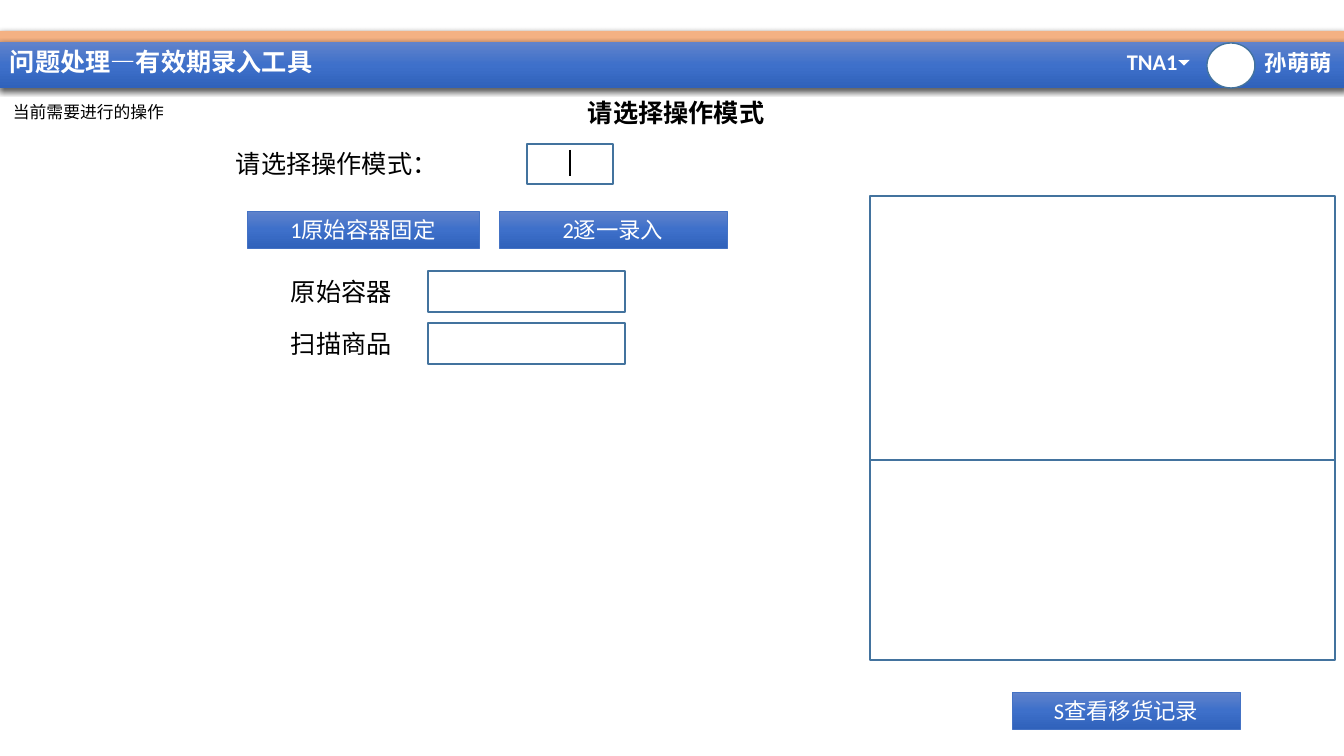
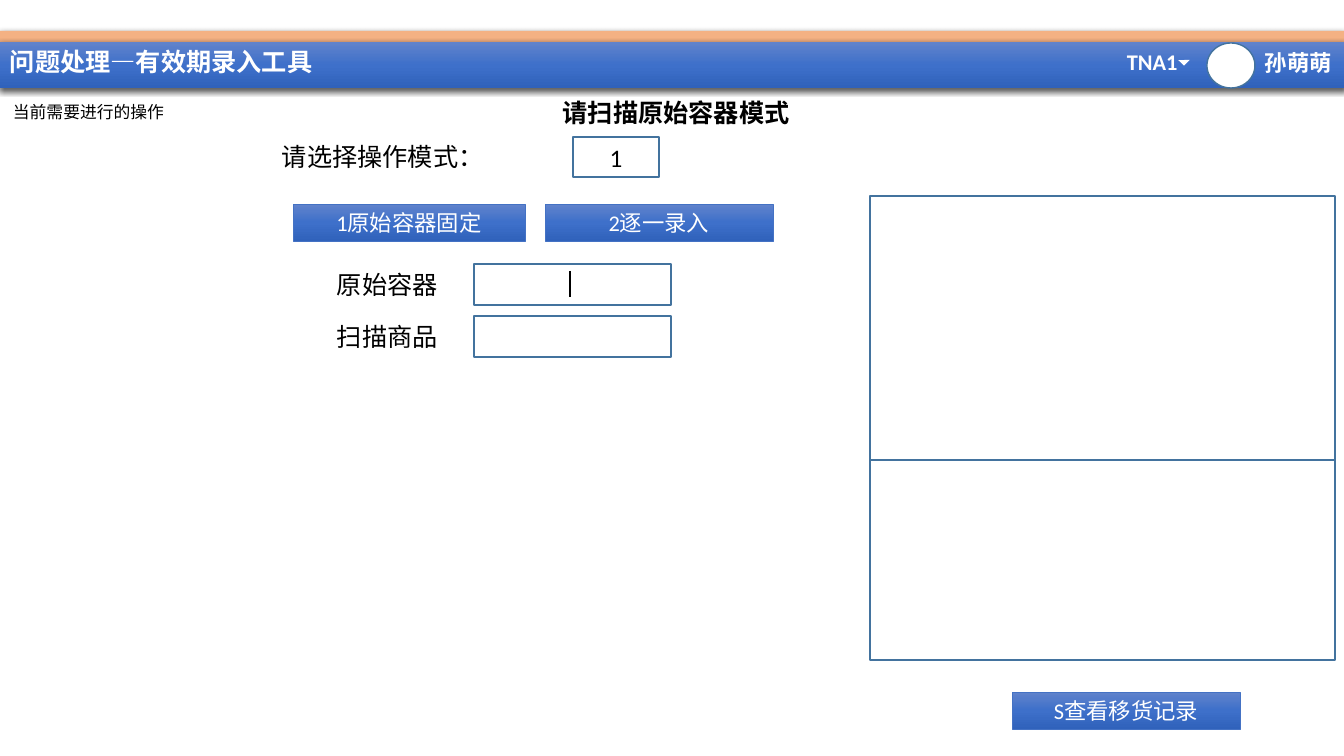
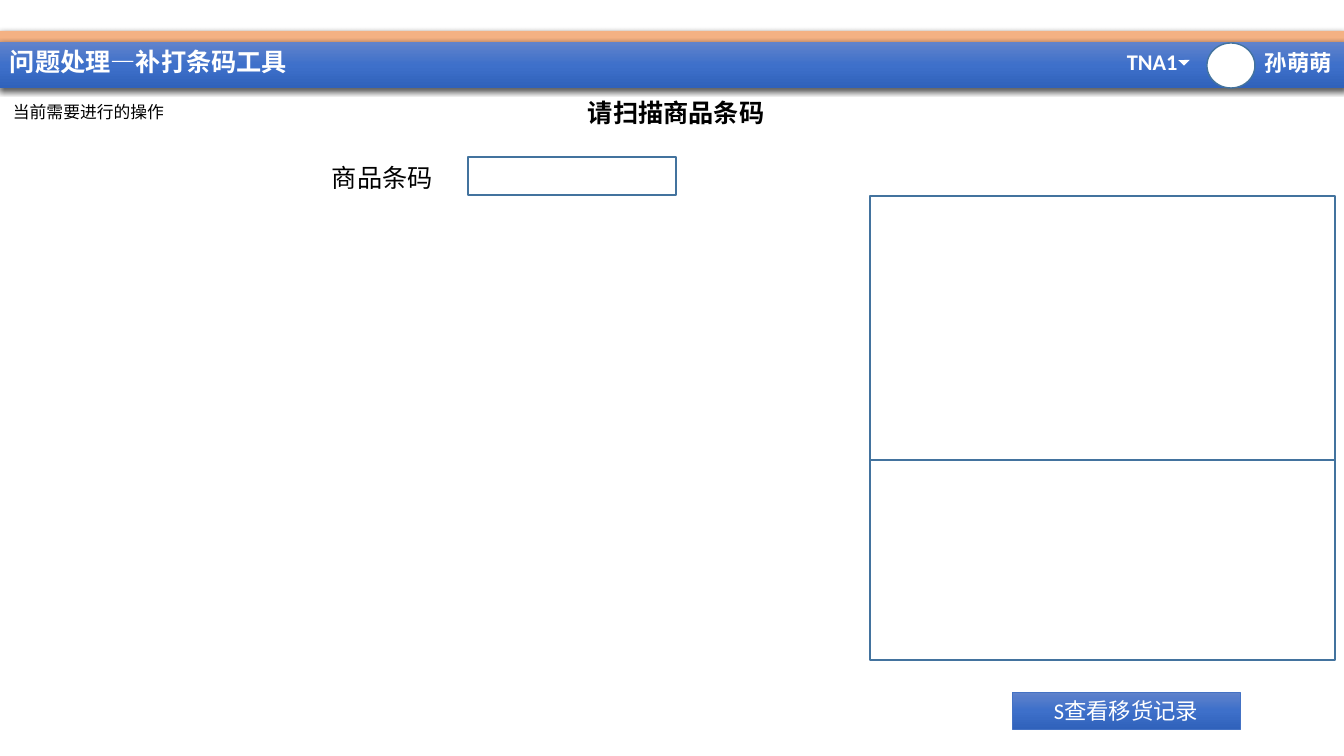
from copy import deepcopy

from pptx import Presentation
from pptx import util as u
from pptx.dml.color import RGBColor
from pptx.enum import shapes, text
from pptx.oxml import parse_xml
from pptx.oxml.ns import nsdecls, qn

PX = 914400 / 100.8
WIDTH, HEIGHT = 1344, 756

WHITE = RGBColor(0xFF, 0xFF, 0xFF)
BLACK = RGBColor(0, 0, 0)
ORANGE = RGBColor(0xF4, 0xB1, 0x83)
OUTLINE = RGBColor(0x43, 0x73, 0x9E)
BUTTON_EDGE = RGBColor(0x44, 0x72, 0xC4)
BLUE_GRADIENT = [RGBColor(0x61, 0x83, 0xCB), RGBColor(0x3E, 0x70, 0xCA), RGBColor(0x30, 0x62, 0xBB)]

RECT = shapes.MSO_SHAPE.RECTANGLE
SHADOW = (
    f'<a:outerShdw {nsdecls("a")} blurRad="57150" dist="19050" dir="5400000" algn="ctr" rotWithShape="0">'
    '<a:srgbClr val="000000"><a:alpha val="63000"/></a:srgbClr></a:outerShdw>'
)


def box(slide, place, kind=RECT, fill=None, line=None, weight=1, shadow=False):
    """Draw a preset shape; a list as fill gives a vertical gradient."""
    shape = slide.shapes.add_shape(kind, *[round(n * PX) for n in place])
    if isinstance(fill, list):
        shape.fill.gradient()
        shape.fill.gradient_angle = 270
        stops = shape.element.find(".//" + qn("a:gsLst"))
        stops.insert(1, deepcopy(stops[0]))
        for i, (stop, color) in enumerate(zip(shape.fill.gradient_stops, fill)):
            stop.position = i / (len(fill) - 1)
            stop.color.rgb = color
    elif fill is not None:
        shape.fill.solid()
        shape.fill.fore_color.rgb = fill
    else:
        shape.fill.background()
    if line is not None:
        shape.line.color.rgb = line
        shape.line.width = u.Pt(weight)
    else:
        shape.line.fill.background()
    shape.shadow.inherit = False
    if shadow:
        shape.element.spPr.find(qn("a:effectLst")).append(parse_xml(SHADOW))
    return shape


def write(slide, words, place=None, area=None, size=18, color=BLACK, bold=False,
          align=text.PP_ALIGN.LEFT, anchor=text.MSO_ANCHOR.TOP, wrap=False):
    """Put text in the given shape, or in a new text box at the given place."""
    area = area or slide.shapes.add_textbox(*[round(n * PX) for n in place])
    frame = area.text_frame
    frame.word_wrap = wrap
    frame.auto_size = text.MSO_AUTO_SIZE.NONE if wrap else text.MSO_AUTO_SIZE.SHAPE_TO_FIT_TEXT
    frame.vertical_anchor = anchor
    paragraph = frame.paragraphs[0]
    paragraph.alignment = align
    run = paragraph.add_run()
    run.text = words
    run.font.name = "Calibri"
    run.font.size = u.Pt(size)
    run.font.bold = bold
    run.font.color.rgb = color
    return area


CENTER, MIDDLE = text.PP_ALIGN.CENTER, text.MSO_ANCHOR.MIDDLE

deck = Presentation()
deck.slide_width = round(WIDTH * PX)
deck.slide_height = round(HEIGHT * PX)
blank = deck.slide_layouts[6]
for placeholder in list(blank.placeholders):
    blank.shapes.element.remove(placeholder.element)

# Header, drawn on the first slide and then moved to the shared layout
first = deck.slides.add_slide(blank)
box(first, (0, 31, WIDTH, 11), fill=ORANGE, shadow=True)
box(first, (0, 42, WIDTH, 46), fill=BLUE_GRADIENT, shadow=True)
write(first, "孙萌萌", (1255, 44, 89, 37), size=16, color=WHITE, bold=True)
box(first, (1207, 43, 48, 45), shapes.MSO_SHAPE.OVAL, fill=WHITE, line=OUTLINE)
write(first, "TNA1", (1117, 43, 72, 37), size=16, color=WHITE, bold=True)
dropdown = box(first, (1180, 56, 8, 8), shapes.MSO_SHAPE.RIGHT_TRIANGLE, fill=WHITE)
dropdown.rotation = 314.5
for part in list(first.shapes):
    blank.shapes.element.append(part.element)

# Per slide: tool, instruction, form origin, chosen mode, top of the caret
screens = [
    ("有效期录入工具", "请选择操作模式", (226, 143), "", 150),
    ("有效期录入工具", "请扫描原始容器模式", (272, 136), "1", 271),
    ("补打条码工具", "请扫描商品条码", None, "", None),
]

for number, (tool, instruction, origin, mode, caret_top) in enumerate(screens):
    slide = deck.slides.add_slide(blank) if number else first
    buttons = [("S查看移货记录", 1012, 692, 228)]

    # Title and current step
    title = "问题处理—" + tool
    write(slide, title, (0, 41, 25 * len(title) + 25, 40), color=WHITE, bold=True)
    write(slide, "当前需要进行的操作", (3, 92, 181, 40), size=12, anchor=MIDDLE, wrap=True)
    write(slide, instruction, (4, 92, WIDTH, 40), bold=True, align=CENTER, anchor=MIDDLE, wrap=True)

    # Form
    if origin:
        left, top = origin
        write(slide, "请选择操作模式：", (left, top, 224, 40))
        mode_field = box(slide, (left + 301, top + 1, 86, 40), line=OUTLINE)
        if mode:
            write(slide, mode, area=mode_field, align=CENTER, anchor=MIDDLE, wrap=True)
        for row, label in enumerate(["原始容器", "扫描商品"]):
            row_top = top + 128 + 52 * row
            write(slide, label, (left + 55, row_top, 122, 40))
            box(slide, (left + 202, row_top, 197, 41), line=OUTLINE)
        buttons += [("1原始容器固定", left + 21, top + 68, 232), ("2逐一录入", left + 273, top + 68, 228)]

        caret = slide.shapes.add_connector(
            shapes.MSO_CONNECTOR.STRAIGHT,
            *[round(n * PX) for n in (570, caret_top, 570, caret_top + 26)])
        caret.line.color.rgb = BLACK
        caret.line.width = u.Pt(0.75)
        caret.element.spPr.append(parse_xml(f'<a:effectLst {nsdecls("a")}/>'))
    else:
        write(slide, "商品条码", (322, 157, 122, 40))
        box(slide, (468, 157, 208, 38), line=OUTLINE)

    # Buttons
    for label, left, top, width in buttons:
        button = box(slide, (left, top, width, 37), fill=BLUE_GRADIENT, line=BUTTON_EDGE, weight=0.5)
        write(slide, label, area=button, size=16, color=WHITE, align=CENTER, wrap=True)

    # Side panels
    for top, height in [(196, 264), (460, 200)]:
        box(slide, (870, top, 465, height), line=OUTLINE)

deck.save("out.pptx")
